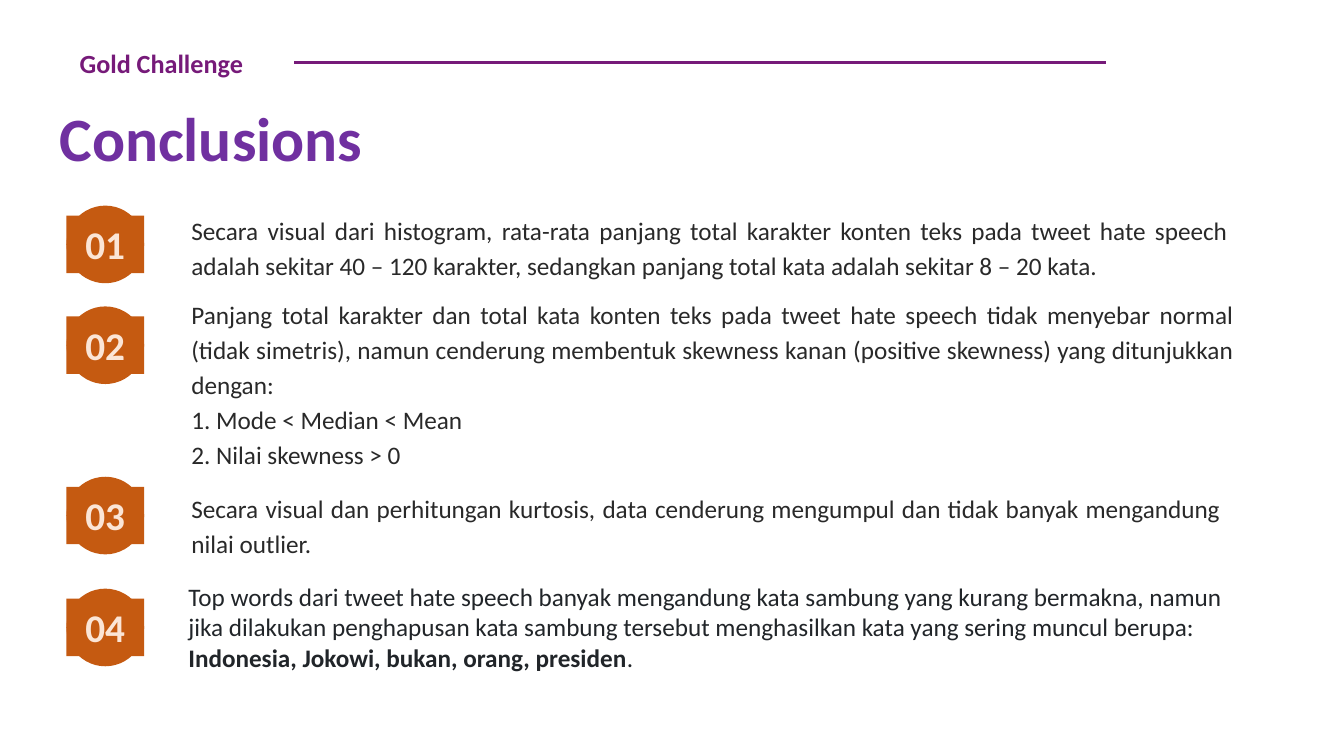
from dataclasses import dataclass

import pptx
import pptx.dml.color
import pptx.enum.shapes
import pptx.enum.text
import pptx.oxml
import pptx.oxml.ns
import pptx.util

Align = pptx.enum.text.PP_ALIGN
Anchor = pptx.enum.text.MSO_ANCHOR
AutoSize = pptx.enum.text.MSO_AUTO_SIZE
Preset = pptx.enum.shapes.MSO_SHAPE

CELL = pptx.util.Inches(1) / 6
COLUMNS, ROWS = 80, 45


@dataclass(frozen=True)
class Theme:
    font: str = "Calibri"
    header: str = "761A79"
    title: str = "7030A0"
    body: str = "292929"
    closing: str = "212529"
    badge: str = "C55A11"
    number: str = "FBE5D6"
    header_size: float = 18.7
    title_size: float = 44
    body_size: float = 18
    number_size: float = 28
    rule_width: float = 1.5


@dataclass(frozen=True)
class Area:
    column: float
    row: float
    columns: float
    rows: float

    def lengths(self) -> tuple:
        return tuple(cells(n) for n in (self.column, self.row, self.columns, self.rows))


@dataclass(frozen=True)
class Piece:
    text: str
    bold: bool = False


@dataclass(frozen=True)
class Conclusion:
    badge_row: float
    area: Area
    paragraphs: tuple
    color: str
    justified: bool = True


THEME = Theme()
BADGE_COLUMN, BADGE_SIZE = 3.96, 4.62
PLATE_OFFSET, PLATE_ROWS = 0.6, 3.42
BODY_COLUMN, BODY_INDENT = 9.78, 1.02

CONCLUSIONS = (
    Conclusion(12.24, Area(BODY_COLUMN, 12.24, 63.9, 4.68), (
        (Piece("Secara visual dari histogram, rata-rata panjang total karakter konten teks "
               "pada tweet hate speech adalah sekitar 40 – 120 karakter, sedangkan panjang "
               "total kata adalah sekitar 8 – 20 kata."),),
    ), THEME.body),
    Conclusion(18.24, Area(BODY_COLUMN, 17.28, 64.26, 10.92), (
        (Piece("Panjang total karakter dan total kata konten teks pada tweet hate speech "
               "tidak menyebar normal (tidak simetris), namun cenderung membentuk skewness "
               "kanan (positive skewness) yang ditunjukkan dengan:"),),
        (Piece("1. Mode < Median < Mean"),),
        (Piece("2. Nilai skewness > 0"),),
    ), THEME.body),
    Conclusion(28.38, Area(BODY_COLUMN, 28.8, 63.48, 4.68), (
        (Piece("Secara visual dan perhitungan kurtosis, data cenderung mengumpul dan tidak "
               "banyak mengandung nilai outlier."),),
    ), THEME.body),
    Conclusion(35.04, Area(10.62, 34.32, 63.06, 6.06), (
        (Piece("Top words dari tweet hate speech banyak mengandung kata sambung yang kurang "
               "bermakna, namun jika dilakukan penghapusan kata sambung tersebut "
               "menghasilkan kata yang sering muncul berupa: "),
         Piece("Indonesia, Jokowi, bukan, orang, presiden", True),
         Piece(".")),
    ), THEME.closing, False),
)


def cells(count: float) -> int:
    return round(count * CELL)


def rgb(color: str) -> pptx.dml.color.RGBColor:
    return pptx.dml.color.RGBColor.from_string(color)


def add_run(paragraph, piece: Piece, size: float, color: str) -> None:
    run = paragraph.add_run()
    run.text = piece.text
    run.font.name = THEME.font
    run.font.size = pptx.util.Pt(size)
    run.font.bold = piece.bold
    run.font.color.rgb = rgb(color)


def set_margins(frame, horizontal: float, vertical: float) -> None:
    frame.margin_left = frame.margin_right = pptx.util.Inches(horizontal)
    frame.margin_top = frame.margin_bottom = pptx.util.Inches(vertical)


def add_title(slide) -> None:
    title = slide.shapes.title
    title.left, title.top, title.width, title.height = Area(2.94, 5.64, 19.74, 5.04).lengths()
    frame = title.text_frame
    frame.word_wrap = False
    frame.auto_size = AutoSize.NONE
    frame.vertical_anchor = Anchor.TOP
    paragraph = frame.paragraphs[0]
    paragraph.alignment = Align.LEFT
    paragraph.line_spacing = 1.0
    add_run(paragraph, Piece("Conclusions", True), THEME.title_size, THEME.title)


def add_header(slide) -> None:
    rule = slide.shapes.add_connector(
        pptx.enum.shapes.MSO_CONNECTOR.STRAIGHT,
        cells(65.82), cells(3.72), cells(17.52), cells(3.72))
    rule.line.color.rgb = rgb(THEME.header)
    rule.line.width = pptx.util.Pt(THEME.rule_width)
    properties = rule._element.spPr
    properties.append(pptx.oxml.parse_xml(f"<a:effectLst {pptx.oxml.ns.nsdecls('a')}/>"))

    shape = slide.shapes.add_textbox(*Area(3.96, 1.26, 21.84, 5.04).lengths())
    frame = shape.text_frame
    frame.word_wrap = True
    frame.vertical_anchor = Anchor.MIDDLE
    set_margins(frame, 0.13, 0.13)
    add_run(frame.paragraphs[0], Piece("Gold Challenge", True),
            THEME.header_size, THEME.header)


def add_badge_shape(slide, preset: Preset, area: Area):
    shape = slide.shapes.add_shape(preset, *area.lengths())
    shape.shadow.inherit = False
    shape.fill.solid()
    shape.fill.fore_color.rgb = rgb(THEME.badge)
    shape.line.fill.background()
    return shape


def add_badge(slide, number: int, row: float) -> None:
    add_badge_shape(slide, Preset.OVAL, Area(BADGE_COLUMN, row, BADGE_SIZE, BADGE_SIZE))
    plate = add_badge_shape(
        slide, Preset.RECTANGLE,
        Area(BADGE_COLUMN, row + PLATE_OFFSET, BADGE_SIZE, PLATE_ROWS))
    frame = plate.text_frame
    frame.word_wrap = True
    frame.vertical_anchor = Anchor.TOP
    set_margins(frame, 0.12, 0.05)
    paragraph = frame.paragraphs[0]
    paragraph.alignment = Align.CENTER
    add_run(paragraph, Piece(f"{number:02d}", True), THEME.number_size, THEME.number)


def add_conclusion(slide, conclusion: Conclusion) -> None:
    shape = slide.shapes.add_textbox(*conclusion.area.lengths())
    frame = shape.text_frame
    frame.word_wrap = True
    for index, pieces in enumerate(conclusion.paragraphs):
        paragraph = frame.add_paragraph() if index else frame.paragraphs[0]
        if conclusion.justified:
            paragraph.alignment = Align.JUSTIFY
            paragraph.line_spacing = 1.15
            properties = paragraph._p.get_or_add_pPr()
            properties.set("marL", str(cells(BODY_INDENT)))
            properties.set("indent", "0")
        for piece in pieces:
            add_run(paragraph, piece, THEME.body_size, conclusion.color)


def main() -> None:
    presentation = pptx.Presentation()
    presentation.slide_width = cells(COLUMNS)
    presentation.slide_height = cells(ROWS)
    slide = presentation.slides.add_slide(presentation.slide_layouts.get_by_name("Title Only"))
    add_header(slide)
    add_title(slide)
    for number, conclusion in enumerate(CONCLUSIONS, start=1):
        add_conclusion(slide, conclusion)
        add_badge(slide, number, conclusion.badge_row)
    presentation.save("out.pptx")


if __name__ == "__main__":
    main()
